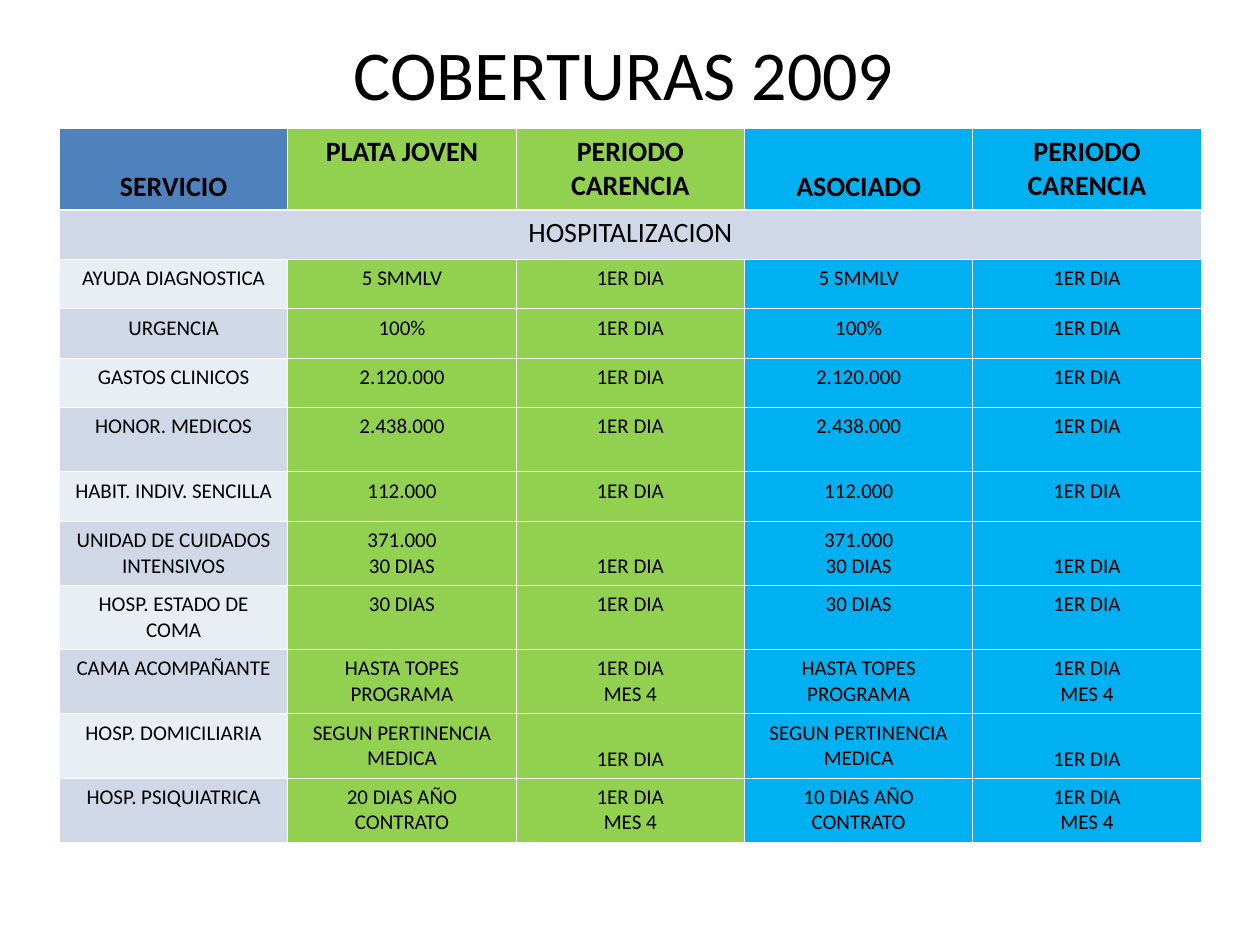
from lxml.etree import SubElement
from pptx import Presentation
from pptx.dml.color import RGBColor
from pptx.enum.text import MSO_ANCHOR, PP_ALIGN
from pptx.oxml.ns import qn
from pptx.util import Pt

COLORS = {
    "text": "000000",
    "border": "FFFFFF",
    "service": "4F81BD",
    "band_dark": "D0D8E8",
    "band_light": "E9EDF4",
    "plata": "92D050",
    "asociado": "00B0F0",
}
FONT = "Calibri"
FIRST_DAY = "1ER DIA"
FOURTH_MONTH = "1ER DIA\nMES 4"
PERIOD = "PERIODO CARENCIA"

HEADERS = ["SERVICIO", "PLATA JOVEN", PERIOD, "ASOCIADO", PERIOD]
SECTION = "HOSPITALIZACION"
# Service, Plata Joven limit, Asociado limit, waiting period of both plans
COVERAGES = [
    ("AYUDA DIAGNOSTICA", "5 SMMLV", "5 SMMLV", FIRST_DAY),
    ("URGENCIA", "100%", "100%", FIRST_DAY),
    ("GASTOS CLINICOS", "2.120.000", "2.120.000", FIRST_DAY),
    ("HONOR. MEDICOS", "2.438.000", "2.438.000", FIRST_DAY),
    ("HABIT. INDIV. SENCILLA", "112.000", "112.000", FIRST_DAY),
    ("UNIDAD DE CUIDADOS INTENSIVOS", "371.000\n30 DIAS", "371.000\n30 DIAS", FIRST_DAY),
    ("HOSP. ESTADO DE COMA", "30 DIAS", "30 DIAS", FIRST_DAY),
    ("CAMA ACOMPAÑANTE", "HASTA TOPES PROGRAMA", "HASTA TOPES PROGRAMA", FOURTH_MONTH),
    ("HOSP. DOMICILIARIA", "SEGUN PERTINENCIA MEDICA", "SEGUN PERTINENCIA MEDICA", FIRST_DAY),
    ("HOSP. PSIQUIATRICA", "20 DIAS AÑO CONTRATO", "10 DIAS AÑO CONTRATO", FOURTH_MONTH),
]
LOW_PERIODS = {"UNIDAD DE CUIDADOS INTENSIVOS", "HOSP. DOMICILIARIA"}
HEADER_HEIGHT, SHORT, TALL = 46.5, 28.25, 36.7
ROW_HEIGHTS = [HEADER_HEIGHT] + [SHORT] * 4 + [TALL, SHORT] + [TALL] * 5
PLAN_FILLS = ["plata", "plata", "asociado", "asociado"]


class SlideBuilder:
    def __init__(self, slide):
        self.slide = slide

    def add_lines(self, frame, text, size, bold=False):
        """Add one centred paragraph for each line of text."""
        for index, line in enumerate(text.split("\n")):
            paragraph = frame.add_paragraph() if index else frame.paragraphs[0]
            paragraph.alignment = PP_ALIGN.CENTER
            run = paragraph.add_run()
            run.text = line
            run.font.name = FONT
            run.font.size = Pt(size)
            run.font.bold = bold
            run.font.color.rgb = RGBColor.from_string(COLORS["text"])

    def title(self, text, left, top, width, height):
        frame = self.slide.shapes.add_textbox(
            Pt(left), Pt(top), Pt(width), Pt(height)).text_frame
        frame.word_wrap = True
        frame.vertical_anchor = MSO_ANCHOR.MIDDLE
        self.add_lines(frame, text, 40)

    def table(self, left, top, width, columns, row_heights):
        table = self.slide.shapes.add_table(
            len(row_heights), columns, Pt(left), Pt(top), Pt(width),
            Pt(sum(row_heights))).table
        table.first_row = False
        table.horz_banding = False
        for row, height in zip(table.rows, row_heights):
            row.height = Pt(height)
        return table

    def borders(self, cell, top, bottom):
        properties = cell._tc.get_or_add_tcPr()
        for side, width in (("L", 0.45), ("R", 0.45), ("T", top), ("B", bottom)):
            line = SubElement(properties, qn(f"a:ln{side}"), w=str(Pt(width)))
            fill = SubElement(line, qn("a:solidFill"))
            SubElement(fill, qn("a:srgbClr"), val=COLORS["border"])

    def cell(self, cell, text, color, size=12, bold=False, low=False, top=0.45, bottom=0.45):
        self.borders(cell, top, bottom)
        cell.fill.solid()
        cell.fill.fore_color.rgb = RGBColor.from_string(COLORS[color])
        cell.vertical_anchor = MSO_ANCHOR.BOTTOM if low else MSO_ANCHOR.TOP
        if text:
            self.add_lines(cell.text_frame, text, size, bold)


def main():
    presentation = Presentation()
    presentation.slide_width = Pt(720)
    presentation.slide_height = Pt(540)
    builder = SlideBuilder(presentation.slides.add_slide(presentation.slide_layouts[6]))
    builder.title("COBERTURAS 2009", 50.4, 16.5, 612, 50.4)
    table = builder.table(34, 73.5, 652.5, len(HEADERS), ROW_HEIGHTS)

    for column, (text, color) in enumerate(zip(HEADERS, ["service"] + PLAN_FILLS)):
        builder.cell(table.cell(0, column), text, color, 16, True,
                     low=text in ("SERVICIO", "ASOCIADO"), bottom=1.47)
        builder.cell(table.cell(1, column), "" if column else SECTION,
                     "band_dark", 16, top=1.47)
    table.cell(1, 0).merge(table.cell(1, len(HEADERS) - 1))

    for row, (service, plata, asociado, period) in enumerate(COVERAGES, start=2):
        band = "band_dark" if row % 2 else "band_light"
        texts = [service, plata, period, asociado, period]
        for column, (text, color) in enumerate(zip(texts, [band] + PLAN_FILLS)):
            low = service in LOW_PERIODS and text == period
            builder.cell(table.cell(row, column), text, color, low=low)

    presentation.save("out.pptx")


if __name__ == "__main__":
    main()
